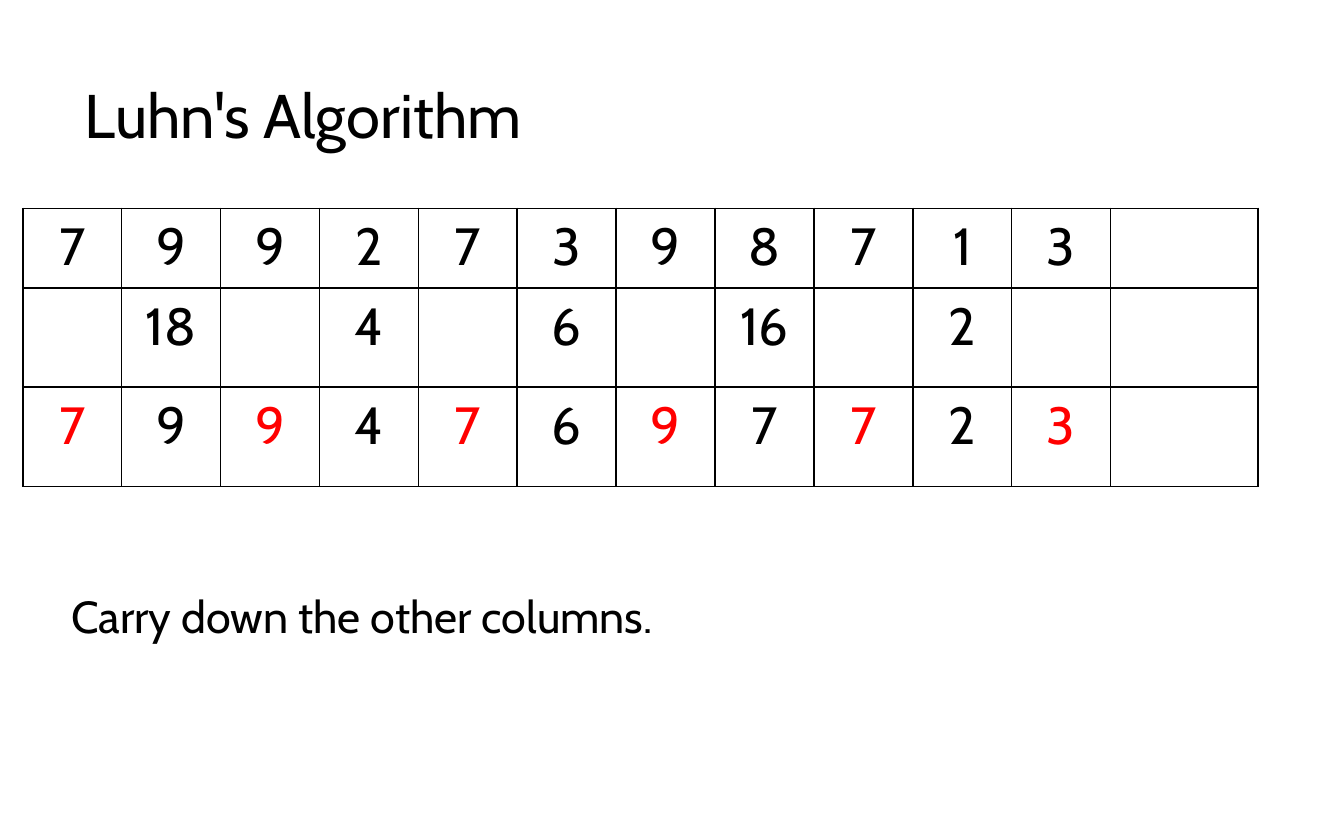
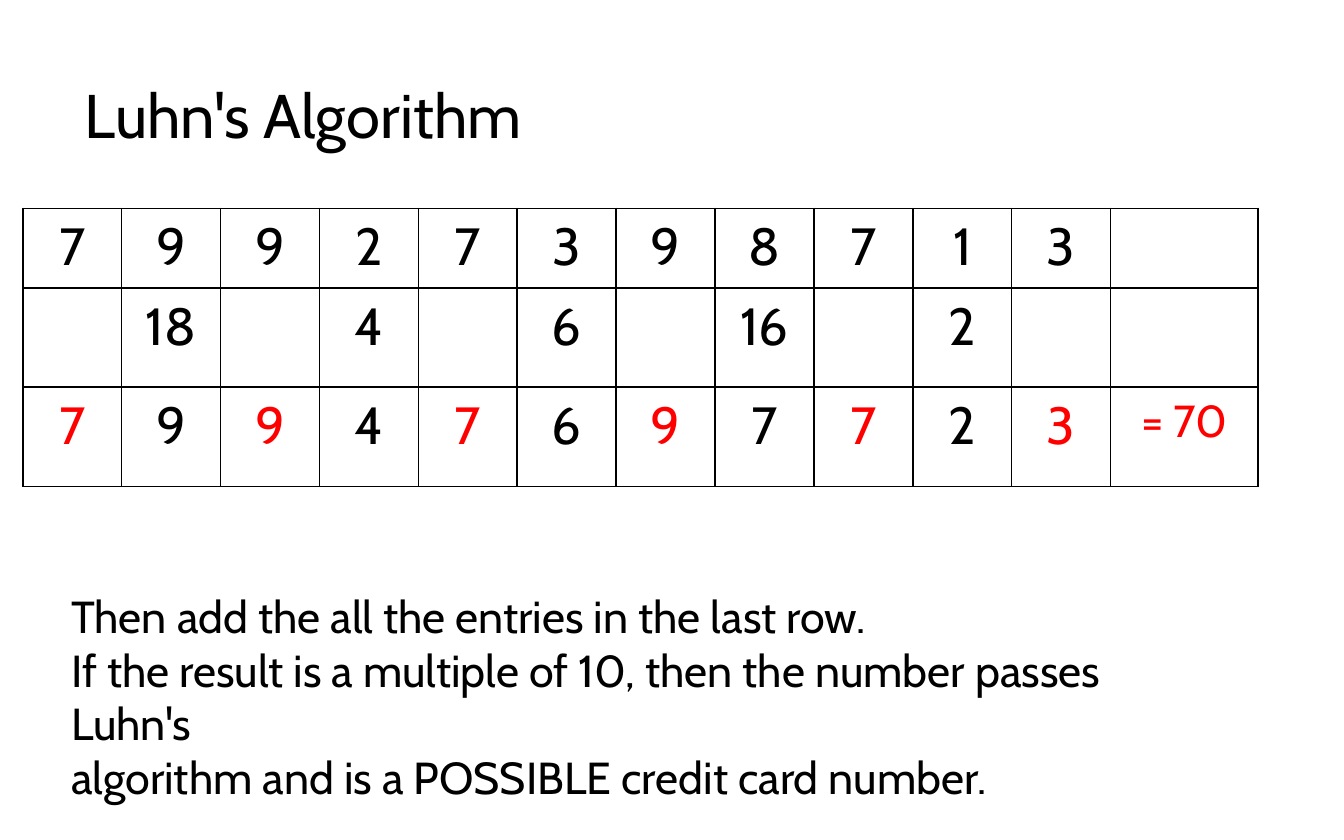
from lxml import etree
from pptx import Presentation
from pptx.dml.color import RGBColor
from pptx.enum import text as tx
from pptx.oxml.ns import qn
from pptx.util import Pt

FONT, BLACK, RED = "Cabin", "000000", "FF0000"
TITLE = "Luhn's Algorithm"


def style(frame, size, color=BLACK, align=tx.PP_ALIGN.LEFT):
    for para in frame.paragraphs:
        para.alignment = align
        for run in para.runs:
            run.font.name = FONT
            run.font.size = Pt(size)
            run.font.color.rgb = RGBColor.from_string(color)


def border(cell):
    props = cell._tc.get_or_add_tcPr()
    for i, side in enumerate(("lnL", "lnR", "lnT", "lnB")):
        line = etree.Element(qn("a:" + side), w=str(Pt(1)))
        fill = etree.SubElement(line, qn("a:solidFill"))
        etree.SubElement(fill, qn("a:srgbClr"), val=BLACK)
        props.insert(i, line)


# Luhn's rows: digits, every second one doubled, digit sums
digits = [int(d) for d in "79927398713"]
double = [2 * d if i % 2 else "" for i, d in enumerate(digits)]
sums = [sum(divmod(b, 10)) if b != "" else d for d, b in zip(digits, double)]

# Total cell, note width and height, note text
steps = [
    ("", 332, 36, "Carry down the other columns."),
    (f"= {sum(sums)}", 626.4, 94.3,
     "Then add the all the entries in the last row.\n"
     "If the result is a multiple of 10, then the number passes Luhn's\n"
     "algorithm and is a POSSIBLE credit card number."),
]

deck = Presentation()
deck.slide_width, deck.slide_height = Pt(720), Pt(450)

for total, wide, high, words in steps:
    slide = deck.slides.add_slide(deck.slide_layouts[5])

    # Title
    head = slide.shapes.title
    head.left, head.top, head.width, head.height = Pt(38.2), Pt(36.7), Pt(555), Pt(54)
    frame = head.text_frame
    frame.text = TITLE
    frame.auto_size = tx.MSO_AUTO_SIZE.NONE
    frame.vertical_anchor = tx.MSO_ANCHOR.MIDDLE
    frame.paragraphs[0].line_spacing = 0.9
    style(frame, 33)

    # Table
    rows = [digits + [""], double + [""], sums + [total]]
    last = len(digits)
    grid = slide.shapes.add_table(3, last + 1, Pt(12.2), Pt(111.7), Pt(662), Pt(149)).table
    grid.first_row = grid.horz_banding = False
    for c, col in enumerate(grid.columns):
        col.width = Pt(79 if c == last else 53)
    for r, row in enumerate(grid.rows):
        row.height = Pt(53.2 if r else 42.6)
        for c, value in enumerate(rows[r]):
            cell = grid.cell(r, c)
            cell.fill.background()
            border(cell)
            if value != "":
                cell.text_frame.text = str(value)
                red = r == 2 and (c % 2 == 0 or c == last)
                style(cell.text_frame, 24 if c == last else 28,
                      RED if red else BLACK, tx.PP_ALIGN.CENTER)

    # Note
    note = slide.shapes.add_textbox(Pt(31), Pt(311.8), Pt(wide), Pt(high)).text_frame
    note.word_wrap = True
    note.auto_size = tx.MSO_AUTO_SIZE.SHAPE_TO_FIT_TEXT
    note.text = words
    style(note, 24)

deck.save("out.pptx")
